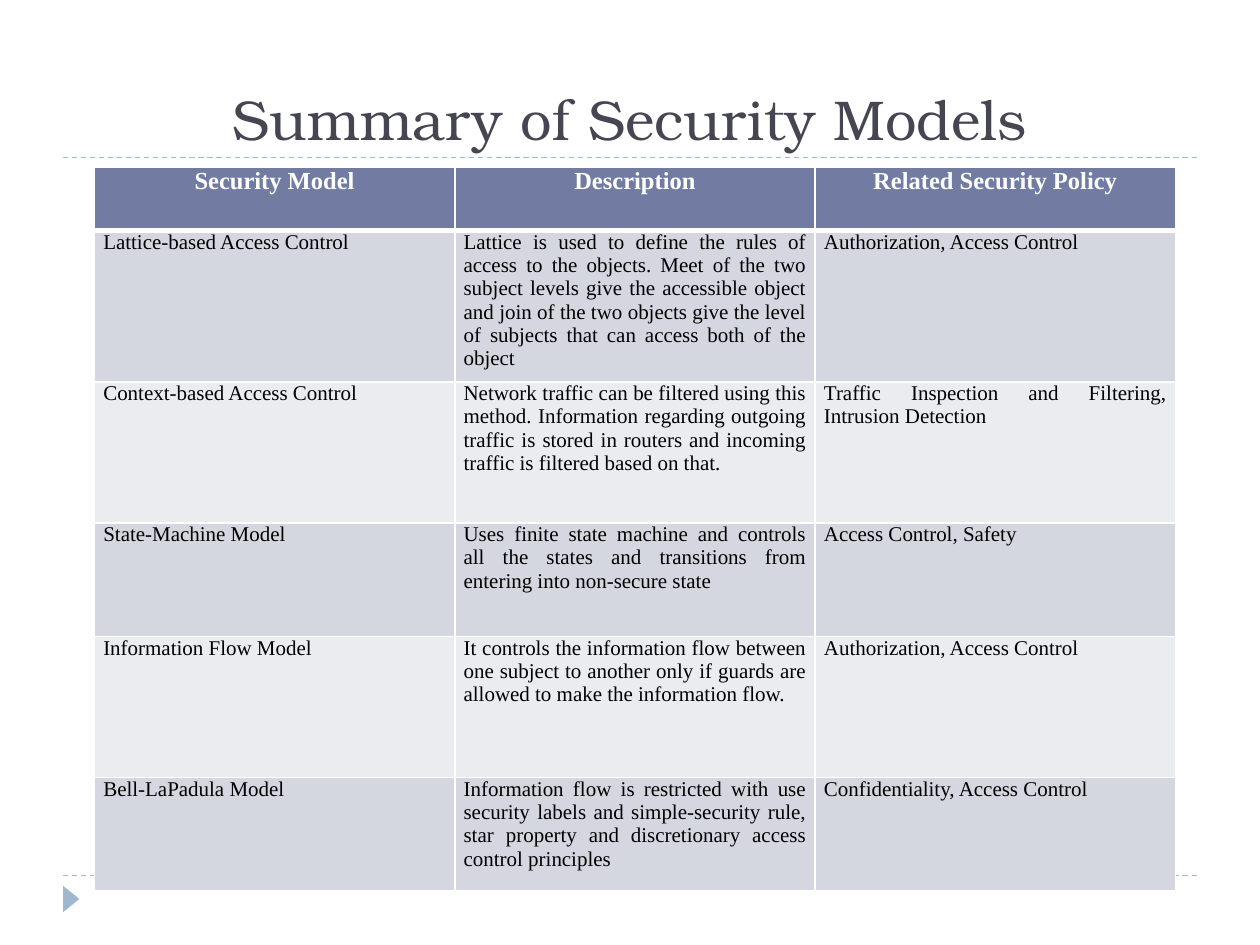
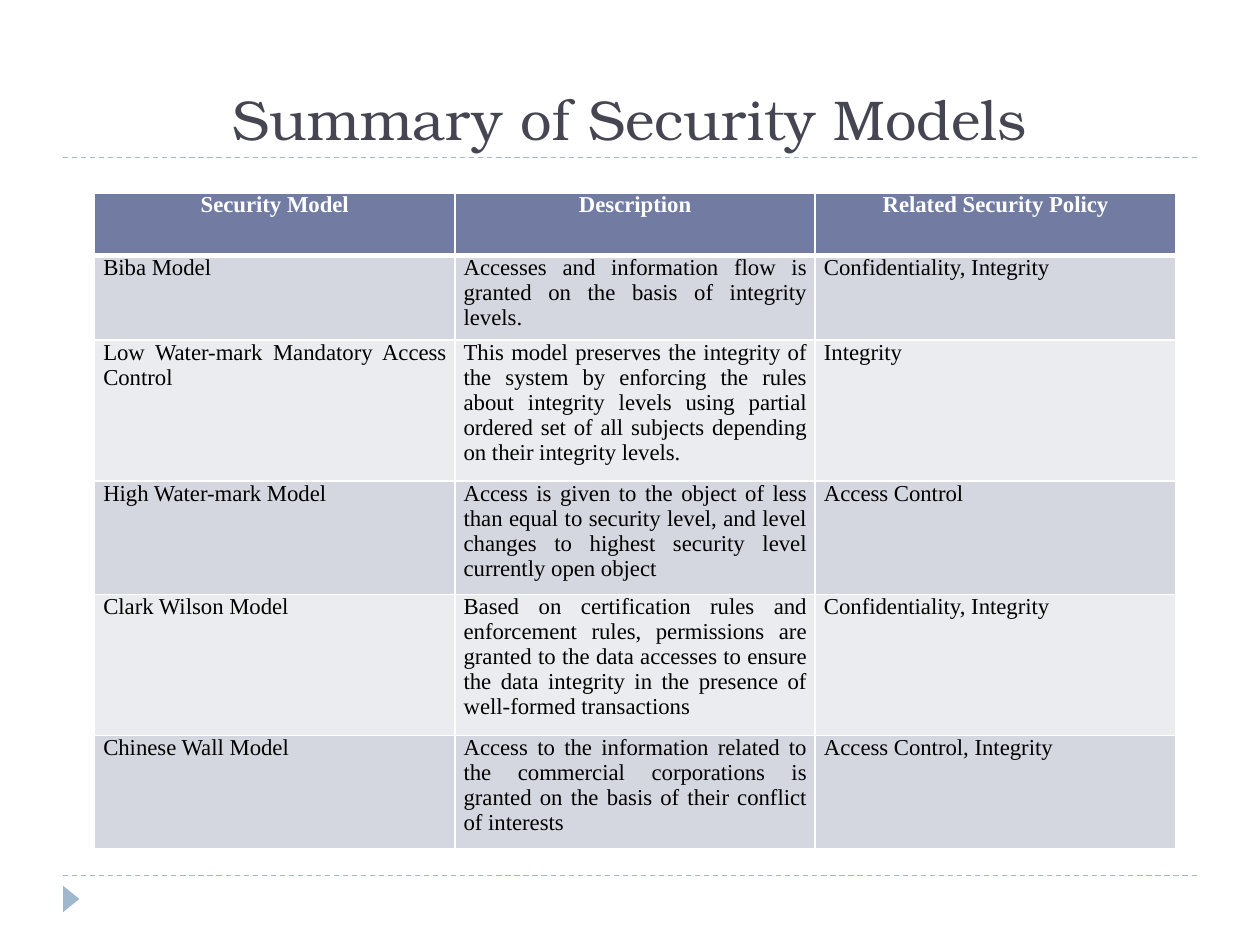
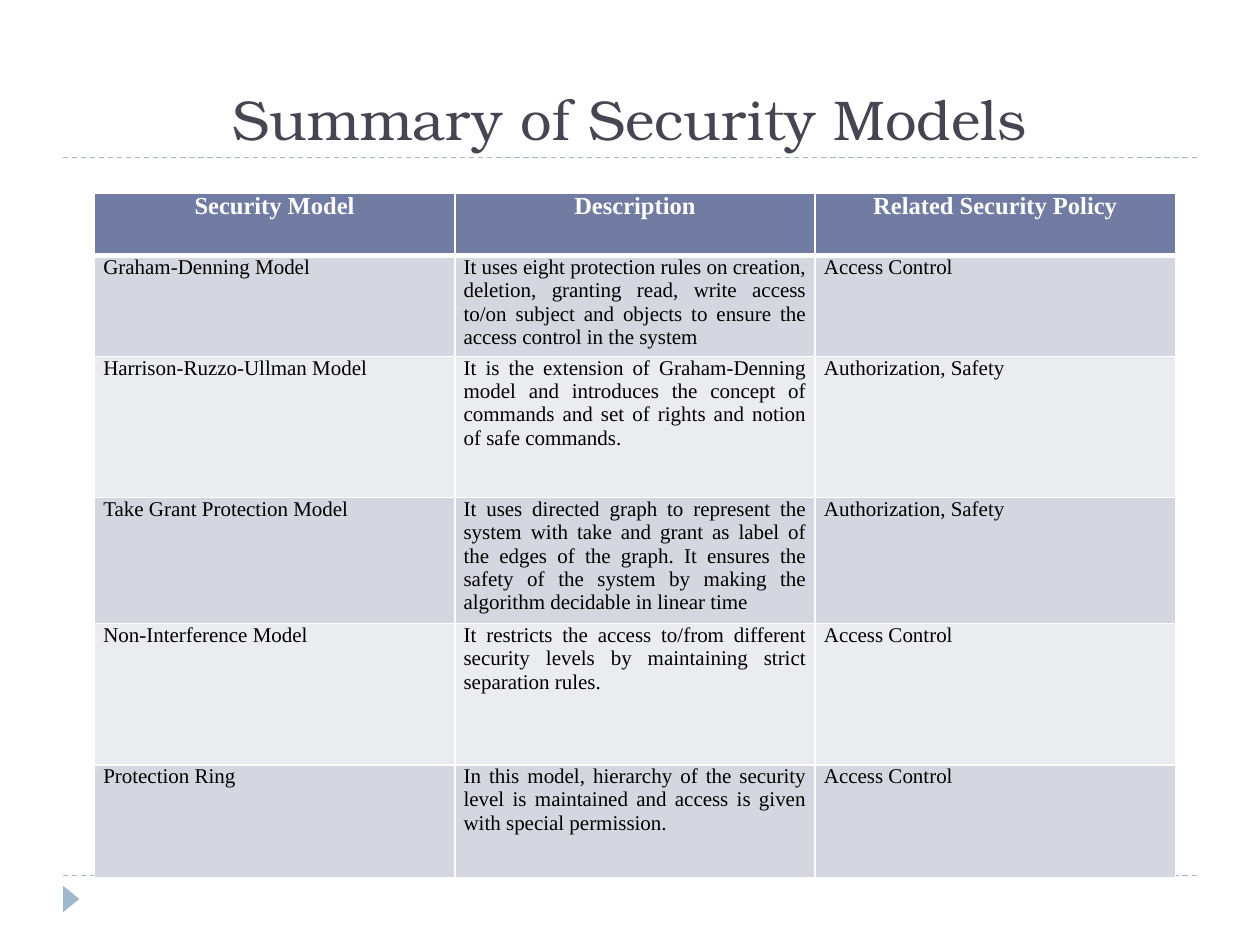
from dataclasses import dataclass

from lxml.etree import SubElement
from pptx import Presentation
from pptx.dml.color import RGBColor
from pptx.enum.dml import MSO_LINE_DASH_STYLE as Dash
from pptx.enum.shapes import MSO_CONNECTOR as Connector, MSO_SHAPE as Shape
from pptx.enum.text import MSO_ANCHOR as Anchor, PP_ALIGN as Align
from pptx.oxml.ns import qn
from pptx.util import Inches, Pt


@dataclass(frozen=True)
class Theme:
    accent: str = "9FB8CD"
    title: str = "464653"
    header: str = "727CA3"
    bands: tuple = ("D5D7E0", "EBECF0")
    text: str = "000000"
    white: str = "FFFFFF"
    title_font: str = "TeX Gyre Bonum"
    table_font: str = "Times New Roman"
    title_size: float = 32
    rule_width: float = 0.75
    border_width: float = 1
    header_border: float = 3


class SlideBuilder:
    def __init__(self, deck, theme):
        self.deck = deck
        self.theme = theme
        self.slide = None

    def start(self, title):
        self.slide = self.deck.slides.add_slide(self.deck.slide_layouts[6])
        for y in (6.95, 1.25):
            self.rule(0.5, 9.5, y)
        self.marker(0.46, 7.07, 0.21, 0.13)
        self.title(title, 0.5, 0.17, 9, 1.08)

    def rule(self, left, right, y):
        rule = self.slide.shapes.add_connector(
            Connector.STRAIGHT, Inches(left), Inches(y), Inches(right), Inches(y))
        rule.line.color.rgb = RGBColor.from_string(self.theme.accent)
        rule.line.width = Pt(self.theme.rule_width)
        rule.line.dash_style = Dash.DASH
        SubElement(rule.element.spPr, qn("a:effectLst"))

    def marker(self, left, top, width, height):
        marker = self.slide.shapes.add_shape(
            Shape.ISOSCELES_TRIANGLE, Inches(left), Inches(top), Inches(width), Inches(height))
        marker.rotation = 90
        marker.shadow.inherit = False
        marker.fill.solid()
        marker.fill.fore_color.rgb = RGBColor.from_string(self.theme.accent)
        marker.line.fill.background()

    def style(self, para, font, size, color, bold=False):
        para.font.name = font
        para.font.size = Pt(size)
        para.font.bold = bold
        para.font.color.rgb = RGBColor.from_string(color)

    def title(self, text, left, top, width, height):
        box = self.slide.shapes.add_textbox(
            Inches(left), Inches(top), Inches(width), Inches(height))
        frame = box.text_frame
        frame.word_wrap = True
        frame.vertical_anchor = Anchor.BOTTOM
        para = frame.paragraphs[0]
        para.text = text
        para.alignment = Align.CENTER
        self.style(para, self.theme.title_font, self.theme.title_size, self.theme.title)

    def borders(self, cell, top, bottom):
        thin = self.theme.border_width
        properties = cell._tc.get_or_add_tcPr()
        for side, width in (("L", thin), ("R", thin), ("T", top), ("B", bottom)):
            line = SubElement(properties, qn(f"a:ln{side}"), w=str(Pt(width)))
            fill = SubElement(line, qn("a:solidFill"))
            SubElement(fill, qn("a:srgbClr"), val=self.theme.white)

    def cell(self, cell, text, row, size):
        theme = self.theme
        is_header = row == 0
        thin, thick = theme.border_width, theme.header_border
        self.borders(cell, thick if row == 1 else thin, thick if is_header else thin)
        cell.fill.solid()
        cell.fill.fore_color.rgb = RGBColor.from_string(
            theme.header if is_header else theme.bands[(row - 1) % 2])
        cell.margin_left = cell.margin_right = Inches(0.07)
        cell.margin_top = cell.margin_bottom = 0
        para = cell.text_frame.paragraphs[0]
        para.text = text
        para.alignment = Align.CENTER if is_header else Align.JUSTIFY
        para.space_before = Pt(10)
        para.space_after = Pt(6)
        self.style(para, theme.table_font, size,
                   theme.white if is_header else theme.text, is_header)

    def table(self, rows, top, header_size, body_size):
        frame = self.slide.shapes.add_table(
            len(rows), len(rows[0]), Inches(0.75), Inches(top),
            Inches(8.58), Inches(sum(ROW_HEIGHTS)))
        table = frame.table
        table.horz_banding = False
        for column in table.columns:
            column.width = Inches(2.86)
        for row, (texts, height) in enumerate(zip(rows, ROW_HEIGHTS)):
            table.rows[row].height = Inches(height)
            for column, text in enumerate(texts):
                self.cell(table.cell(row, column), text, row,
                          body_size if row else header_size)


TITLE = "Summary of Security Models"
HEADINGS = ("Security Model", "Description", "Related Security Policy")
ROW_HEIGHTS = (0.5, 0.67, 1.12, 0.9, 1.12, 0.9)

ACCESS_MODELS = [
    ("Lattice-based Access Control",
     "Lattice is used to define the rules of access to the objects. Meet of the two subject "
     "levels give the accessible object and join of the two objects give the level of subjects "
     "that can access both of the object",
     "Authorization, Access Control"),
    ("Context-based Access Control",
     "Network traffic can be filtered using this method. Information regarding outgoing traffic "
     "is stored in routers and incoming traffic is filtered based on that.",
     "Traffic Inspection and Filtering, Intrusion Detection"),
    ("State-Machine Model",
     "Uses finite state machine and controls all the states and transitions from entering into "
     "non-secure state",
     "Access Control, Safety"),
    ("Information Flow Model",
     "It controls the information flow between one subject to another only if guards are allowed "
     "to make the information flow.",
     "Authorization, Access Control"),
    ("Bell-LaPadula Model",
     "Information flow is restricted with use security labels and simple-security rule, star "
     "property and discretionary access control principles",
     "Confidentiality, Access Control"),
]

INTEGRITY_MODELS = [
    ("Biba Model",
     "Accesses and information flow is granted on the basis of integrity levels.",
     "Confidentiality, Integrity"),
    ("Low Water-mark Mandatory Access Control",
     "This model preserves the integrity of the system by enforcing the rules about integrity "
     "levels using partial ordered set of all subjects depending on their integrity levels.",
     "Integrity"),
    ("High Water-mark Model",
     "Access is given to the object of less than equal to security level, and level changes to "
     "highest security level currently open object",
     "Access Control"),
    ("Clark Wilson Model",
     "Based on certification rules and enforcement rules, permissions are granted to the data "
     "accesses to ensure the data integrity in the presence of well-formed transactions",
     "Confidentiality, Integrity"),
    ("Chinese Wall Model",
     "Access to the information related to the commercial corporations is granted on the basis "
     "of their conflict of interests",
     "Access Control, Integrity"),
]

PROTECTION_MODELS = [
    ("Graham-Denning Model",
     "It uses eight protection rules on creation, deletion, granting read, write access to/on "
     "subject and objects to ensure the access control in the system",
     "Access Control"),
    ("Harrison-Ruzzo-Ullman Model",
     "It is the extension of Graham-Denning model and introduces the concept of commands and set "
     "of rights and notion of safe commands.",
     "Authorization, Safety"),
    ("Take Grant Protection Model",
     "It uses directed graph to represent the system with take and grant as label of the edges "
     "of the graph. It ensures the safety of the system by making the algorithm decidable in "
     "linear time",
     "Authorization, Safety"),
    ("Non-Interference Model",
     "It restricts the access to/from different security levels by maintaining strict separation "
     "rules.",
     "Access Control"),
    ("Protection Ring",
     "In this model, hierarchy of the security level is maintained and access is given with "
     "special permission.",
     "Access Control"),
]

PAGES = (
    (ACCESS_MODELS, 1.33, 14, 12),
    (INTEGRITY_MODELS, 1.53, 13, 13),
    (PROTECTION_MODELS, 1.53, 14, 12),
)

deck = Presentation()
deck.slide_width = Inches(10)
deck.slide_height = Inches(7.5)
builder = SlideBuilder(deck, Theme())
for models, top, header_size, body_size in PAGES:
    builder.start(TITLE)
    builder.table([HEADINGS, *models], top, header_size, body_size)
deck.save("out.pptx")
